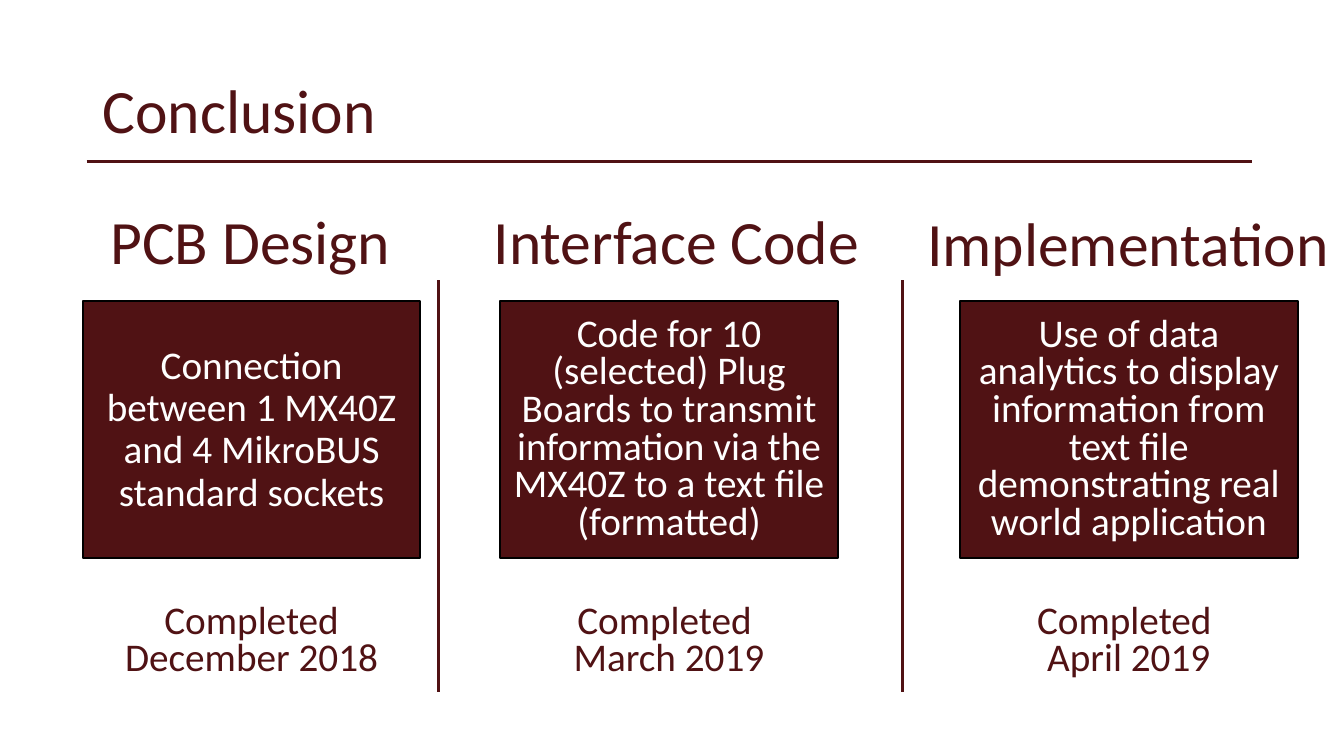
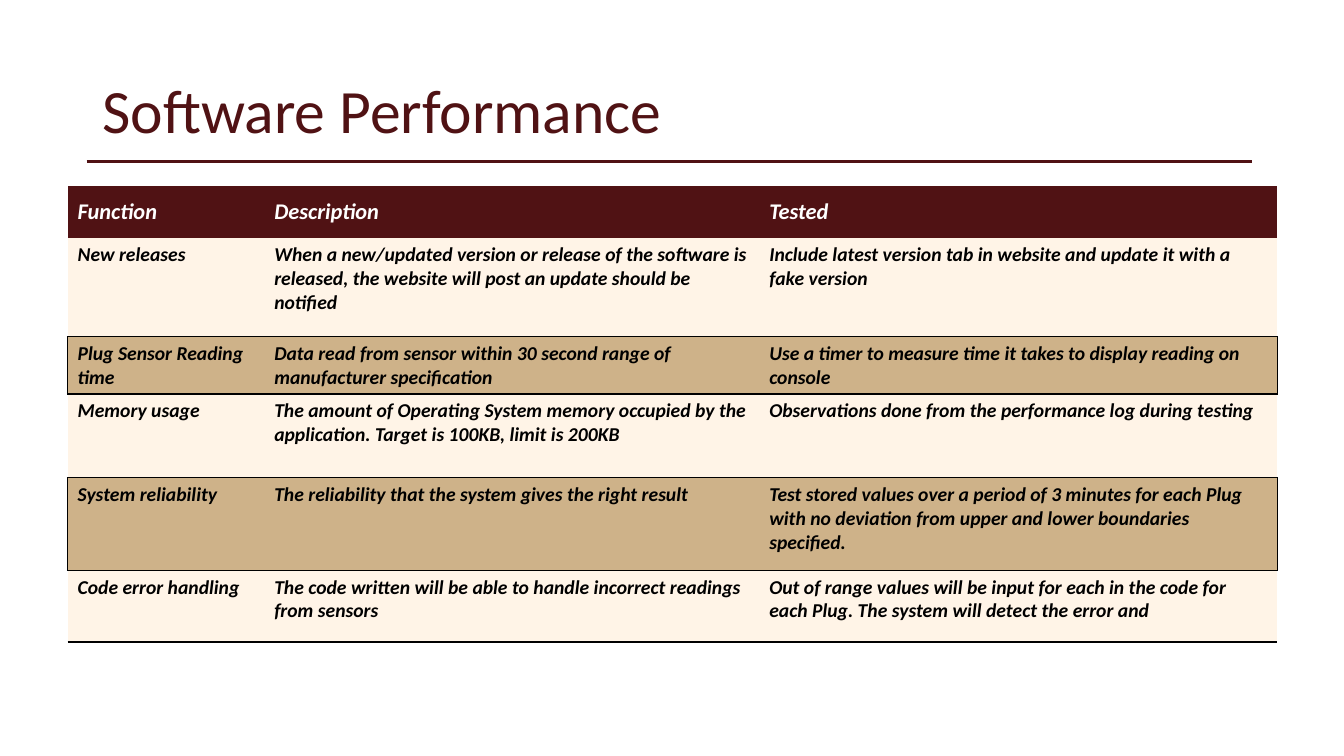
"""Build a project conclusion slide and a software performance table."""
import lxml.etree
import pptx
import pptx.dml.color
import pptx.enum.shapes
import pptx.enum.text
import pptx.oxml.ns
import pptx.util

Inches = pptx.util.Inches
Pt = pptx.util.Pt
ALIGN = pptx.enum.text.PP_ALIGN
MIDDLE = pptx.enum.text.MSO_ANCHOR.MIDDLE
qn = pptx.oxml.ns.qn

MAROON, WHITE, BLACK = "501214", "FFFFFF", "000000"
CREAM, TAN = "FFF4E7", "CEB289"
FONT = "Calibri"
NO_STYLE = "{2D5ABB26-0587-4C30-8999-92F81FD0307C}"


def rgb(value):
    """Turn a hex string into a colour."""
    return pptx.dml.color.RGBColor.from_string(value)


def write(tf, text, size, color, align=ALIGN.CENTER, spacing=0.9):
    """Fill a text frame with one paragraph per line of text."""
    tf.word_wrap = True
    tf.vertical_anchor = MIDDLE
    tf.text = text
    for p in tf.paragraphs:
        p.alignment = align
        p.line_spacing = spacing
        p.font.name = FONT
        p.font.size = Pt(size)
        p.font.color.rgb = rgb(color)


prs = pptx.Presentation()
prs.slide_width = Inches(13.33)
prs.slide_height = Inches(7.5)

slides = []
rule = (0.86, 1.6, 12.42, 1.6)
dividers = [(x, 2.78, x, 6.87) for x in (4.35, 8.95)]
for title, lines in (
    ("Conclusion", [rule, *dividers]),
    ("Software Performance", [rule]),
):
    s = prs.slides.add_slide(prs.slide_layouts[6])
    slides.append(s)
    sp = s.shapes.add_textbox(Inches(0.92), Inches(0.4), Inches(11.5), Inches(1.45))
    write(sp.text_frame, title, 44, MAROON, ALIGN.LEFT)
    for ends in lines:
        line = s.shapes.add_connector(
            pptx.enum.shapes.MSO_CONNECTOR.STRAIGHT, *map(Inches, ends)
        )
        line.line.color.rgb = rgb(MAROON)
        line.line.width = Pt(2.25)
        lxml.etree.SubElement(line._element.spPr, qn("a:effectLst"))

conclusion, performance = slides

phases = [
    (0.82, (0.81, 1.96, 3.35, 0.93), "PCB Design", 0.9,
     "Connection between 1 MX40Z and 4 MikroBUS standard sockets",
     "Completed December 2018"),
    (4.96, (4.72, 1.88, 3.98, 1.09), "Interface Code", 0.8,
     "Code for 10 (selected) Plug Boards to transmit information via the "
     "MX40Z to a text file (formatted)",
     "Completed \nMarch 2019"),
    (9.52, (9.06, 1.9, 4.26, 1.09), "Implementation", 0.8,
     "Use of data analytics to display information from text file "
     "demonstrating real world application",
     "Completed \nApril 2019"),
]
for x, heading_box, heading, spacing, summary, completed in phases:
    sp = conclusion.shapes.add_textbox(*map(Inches, heading_box))
    write(sp.text_frame, heading, 44, MAROON)

    sp = conclusion.shapes.add_shape(
        pptx.enum.shapes.MSO_SHAPE.RECTANGLE,
        Inches(x), Inches(2.99), Inches(3.35), Inches(2.55),
    )
    sp.shadow.inherit = False
    sp.fill.solid()
    sp.fill.fore_color.rgb = rgb(MAROON)
    sp.line.color.rgb = rgb(BLACK)
    sp.line.width = Pt(1.5)
    write(sp.text_frame, summary, 28, WHITE, spacing=spacing)

    sp = conclusion.shapes.add_textbox(Inches(x), Inches(5.9), Inches(3.35), Inches(0.93))
    write(sp.text_frame, completed, 28, MAROON, spacing=0.8)

rows = [
    ("Function", "Description", "Tested"),
    ("New releases",
     "When a new/updated version or release of the software is released, "
     "the website will post an update should be notified",
     "Include latest version tab in website and update it with a fake version"),
    ("Plug Sensor Reading time",
     "Data read from sensor within 30 second range of manufacturer specification",
     "Use a timer to measure time it takes to display reading on console"),
    ("Memory usage",
     "The amount of Operating System memory occupied by the application. "
     "Target is 100KB, limit is 200KB",
     "Observations done from the performance log during testing"),
    ("System reliability",
     "The reliability that the system gives the right result",
     "Test stored values over a period of 3 minutes for each Plug with no "
     "deviation from upper and lower boundaries specified."),
    ("Code error handling",
     "The code written will be able to handle incorrect readings from sensors",
     "Out of range values will be input for each in the code for each Plug. "
     "The system will detect the error and"),
]
widths = [1.95, 4.91, 5.14]
heights = [0.51, 0.98, 0.57, 0.83, 0.92, 0.71]
table = performance.shapes.add_table(
    len(rows), len(widths),
    Inches(0.67), Inches(1.85), Inches(sum(widths)), Inches(sum(heights)),
).table
table._tbl.tblPr.find(qn("a:tableStyleId")).text = NO_STYLE
for column, width in zip(table.columns, widths):
    column.width = Inches(width)
for row, height in zip(table.rows, heights):
    row.height = Inches(height)

for i, texts in enumerate(rows):
    header = i == 0
    shaded = not header and i % 2 == 0
    for j, text in enumerate(texts):
        cell = table.cell(i, j)
        edges = {
            "a:lnL": shaded and j == 0,
            "a:lnR": shaded and j == len(widths) - 1,
            "a:lnT": i > 1,
            "a:lnB": not header,
        }
        tcPr = cell._tc.get_or_add_tcPr()
        for tag, drawn in edges.items():
            if drawn:
                ln = lxml.etree.SubElement(tcPr, qn(tag), w=str(Pt(1)))
                fill = lxml.etree.SubElement(ln, qn("a:solidFill"))
                lxml.etree.SubElement(fill, qn("a:srgbClr"), val=BLACK)
        cell.fill.solid()
        cell.fill.fore_color.rgb = rgb(MAROON if header else TAN if shaded else CREAM)
        if header:
            cell.vertical_anchor = MIDDLE
        cell.text = text
        p = cell.text_frame.paragraphs[0]
        p.font.name = FONT
        p.font.size = Pt(16 if header else 14)
        p.font.bold = True
        p.font.italic = True
        p.font.color.rgb = rgb(WHITE if header else BLACK)

prs.save("out.pptx")
